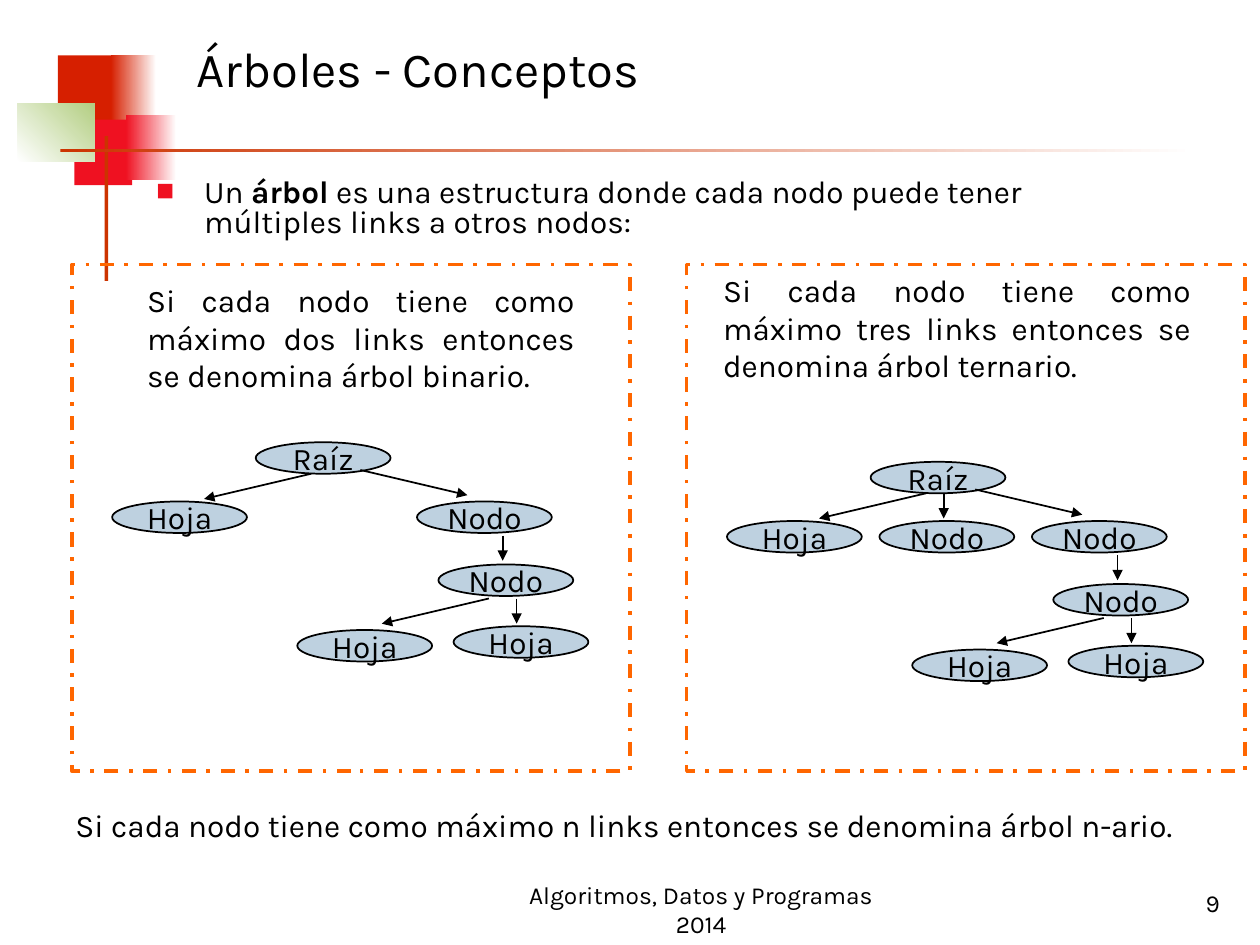
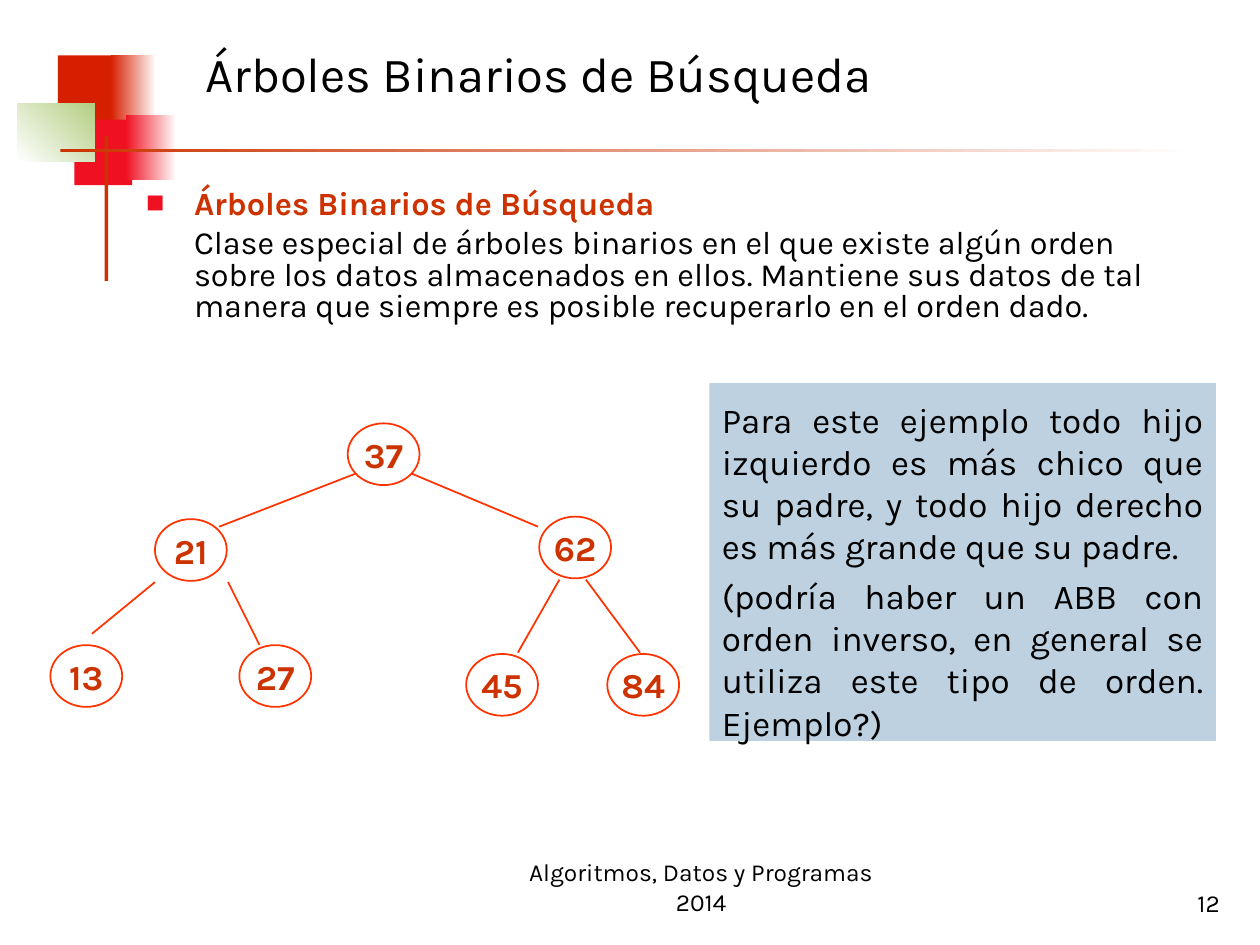
from pptx import Presentation
from pptx.dml.color import RGBColor
from pptx.enum.dml import MSO_LINE
from pptx.enum.shapes import MSO_CONNECTOR, MSO_SHAPE
from pptx.enum.text import MSO_ANCHOR, MSO_AUTO_SIZE, PP_ALIGN
from pptx.oxml.ns import qn
from pptx.util import Emu, Inches, Pt
from lxml.etree import SubElement

WIDTH, HEIGHT = Inches(10), Inches(7.5)
COLUMNS, ROWS = 100, 75
FONT = "Karla"
BLACK, WHITE, BLUE = "000000", "FFFFFF", "BED1E0"
RED, CRIMSON, GREEN = "D61F00", "EF1121", "B3CE82"
RUST, ORANGE, EDGE = "CC3300", "FF6600", "FF3300"
FOOTER = "Algoritmos, Datos y Programas 2014"

BAND = [
    ((4.6, 4.4, 4.8, 5.2), (RED,), 0),
    ((8.8, 4.4, 3.6, 5.2), (RED, WHITE), 0),
    ((5.9, 9.5, 4.6, 5.2), (CRIMSON,), 0),
    ((10, 9.1, 4, 5.2), (CRIMSON, WHITE), 0),
    ((1.4, 8.2, 6.1, 4.6), (WHITE, GREEN), 45),
    ((8.3, 10.8, 0.3, 11.5), (RUST,), 0),
    ((4.8, 11.8, 90, 0.3), (RUST, WHITE), 0),
]

CONCEPT_NODES = [
    ("Raíz", 20.3, 35.1), ("Hoja", 8.9, 39.8), ("Nodo", 33.1, 39.8),
    ("Nodo", 34.8, 44.8), ("Hoja", 36, 49.7), ("Hoja", 23.6, 50),
]
CONCEPT_ARROWS = [
    (24.7, 37.6, 16.2, 39.6), (28.6, 37.3, 37.1, 39.3), (39.9, 42.5, 39.9, 44.5),
    (38.8, 47.5, 30.3, 49.5), (41, 47.5, 41, 49.5),
]
MIDDLE_NODE = ("Nodo", 21, 39.8)
MIDDLE_ARROW = (26.1, 37.6, 26.1, 39.6)

SEARCH_NODES = [
    ("37", 27.6, 33.6), ("62", 42.8, 41), ("21", 12.3, 41.2), ("13", 4, 51.2),
    ("27", 19, 51.2), ("45", 37, 51.9), ("84", 48.2, 51.9),
]
SEARCH_EDGES = [
    (28.2, 37.6, 17.4, 41.8), (32.7, 37.6, 42.7, 41.8), (12.3, 46.2, 7.3, 50.3),
    (18.1, 46.2, 20.6, 51.2), (44.4, 46, 41.1, 51.8), (46.5, 46, 50.8, 51.8),
]


def rgb(code):
    """Turn a hex string into a colour."""
    return RGBColor.from_string(code)


def grid(*cells):
    """Turn alternating column and row counts into lengths."""
    units = (WIDTH / COLUMNS, HEIGHT / ROWS)
    return [Emu(round(count * units[index % 2])) for index, count in enumerate(cells)]


def apply(target, values):
    """Set each named attribute on the target."""
    for name, value in values.items():
        setattr(target, name, value)


def paint(shape, colors, angle=0):
    """Fill a shape with nothing, one colour or a two-colour gradient."""
    if not colors:
        shape.fill.background()
    elif len(colors) == 1:
        shape.fill.solid()
        shape.fill.fore_color.rgb = rgb(colors[0])
    else:
        shape.fill.gradient()
        shape.fill.gradient_angle = angle
        for stop, color in zip(shape.fill.gradient_stops, colors):
            stop.color.rgb = rgb(color)


def add_form(shapes, kind, place, colors=(), angle=0, line=None, width=1):
    """Add a preset shape with its fill and outline."""
    shape = shapes.add_shape(kind, *grid(*place))
    shape.shadow.inherit = False
    paint(shape, colors, angle)
    if line:
        shape.line.color.rgb = rgb(line)
        shape.line.width = Pt(width)
    else:
        shape.line.fill.background()
    return shape


def add_line(shapes, ends, color, arrow=False):
    """Add a straight line, with an arrowhead if asked."""
    line = shapes.add_connector(MSO_CONNECTOR.STRAIGHT, *grid(*ends))
    line.line.color.rgb = rgb(color)
    line.line.width = Pt(1)
    if arrow:
        SubElement(line.line._get_or_add_ln(), qn("a:tailEnd"), type="triangle")
    SubElement(line._element.spPr, qn("a:effectLst"))


def set_indent(para, left, first=0, bullet=False):
    """Set a paragraph's indents in inches and its square bullet."""
    properties = para._p.get_or_add_pPr()
    properties.set("marL", str(Inches(left)))
    properties.set("indent", str(Inches(first)))
    if bullet:
        color = SubElement(properties, qn("a:buClr"))
        SubElement(color, qn("a:srgbClr"), val=CRIMSON)
        SubElement(properties, qn("a:buSzPct"), val="60000")
        SubElement(properties, qn("a:buFont"), typeface=FONT)
        SubElement(properties, qn("a:buChar"), char="■")
    else:
        SubElement(properties, qn("a:buNone"))


def write(para, spans, size=18, indent=(0,), **layout):
    """Write (text, colour, bold) spans into a paragraph."""
    set_indent(para, *indent)
    apply(para, {"alignment": PP_ALIGN.LEFT, "space_before": Pt(0), **layout})
    for text, color, bold in spans:
        span = para.add_run()
        span.text = text
        apply(span.font, {"name": FONT, "size": Pt(size), "bold": bold})
        span.font.color.rgb = rgb(color)


def set_frame(box, anchor=MSO_ANCHOR.TOP, wrap=True):
    """Set how a box holds its text and return its first paragraph."""
    apply(box.text_frame, {"auto_size": MSO_AUTO_SIZE.NONE, "word_wrap": wrap,
                           "vertical_anchor": anchor})
    return box.text_frame.paragraphs[0]


def add_text(page, place, text, anchor=MSO_ANCHOR.TOP, **layout):
    """Add a text box with one black paragraph."""
    box = page.shapes.add_textbox(*grid(*place))
    write(set_frame(box, anchor), [(text, BLACK, False)], **layout)


def move(box, place):
    """Move a placeholder to its place on the grid."""
    apply(box, dict(zip(("left", "top", "width", "height"), grid(*place))))


def add_node(shapes, label, place, fill, line, color, size, bold):
    """Add a labelled ellipse."""
    node = add_form(shapes, MSO_SHAPE.OVAL, place, (fill,), line=line)
    write(set_frame(node, MSO_ANCHOR.MIDDLE, False), [(label, color, bold)], size,
          alignment=PP_ALIGN.CENTER)


def add_concept_tree(page, nodes, arrows, right=0, down=0):
    """Draw a grouped tree of blue nodes, shifted on the grid."""
    shapes = page.shapes.add_group_shape().shapes
    for label, left, top in nodes:
        add_node(shapes, label, (left + right, top + down, 10.7, 2.5),
                 BLUE, BLACK, BLACK, 18, False)
    for x1, y1, x2, y2 in arrows:
        add_line(shapes, (x1 + right, y1 + down, x2 + right, y2 + down), BLACK, True)


def add_search_tree(page):
    """Draw the binary search tree."""
    for ends in SEARCH_EDGES:
        add_line(page.shapes, ends, EDGE)
    for label, left, top in SEARCH_NODES:
        add_node(page.shapes, label, (left, top, 5.7, 4.9), WHITE, EDGE, RUST, 20, True)


def add_band(page):
    """Draw the corner band and move it to the shared layout."""
    tree = page.slide_layout.shapes.element
    for place, colors, angle in BAND:
        tree.append(add_form(page.shapes, MSO_SHAPE.RECTANGLE, place, colors, angle)._element)


def add_page(deck, title, title_place, body_place, number, footer_top):
    """Add a page with its title, footer and number, and return it with its body."""
    page = deck.slides.add_slide(deck.slide_layouts[1])
    heading, body = page.shapes.title, page.placeholders[1]
    move(heading, title_place)
    move(body, body_place)
    write(set_frame(heading, MSO_ANCHOR.MIDDLE), [(title, BLACK, False)], 28)
    add_text(page, (39.8, footer_top, 31.7, 5), FOOTER, MSO_ANCHOR.BOTTOM,
             size=14, alignment=PP_ALIGN.CENTER)
    add_text(page, (77, 68.3, 20.8, 5), number, MSO_ANCHOR.BOTTOM,
             size=14, alignment=PP_ALIGN.RIGHT)
    return page, body


def build_concepts(deck):
    """Build the page on tree concepts."""
    page, body = add_page(deck, "Árboles - Conceptos", (14.6, 0.8, 71.1, 9.2),
                          (11.4, 13.7, 82.2, 5.4), "9", 70)
    add_band(page)
    write(set_frame(body), [
        ("Un ", BLACK, False), ("árbol", BLACK, True),
        (" es una estructura donde cada nodo puede tener múltiples links a otros nodos:",
         BLACK, False)], indent=(0.38, -0.38, True), line_spacing=0.8)
    rule = "Si cada nodo tiene como máximo {} links entonces se denomina árbol {}."
    for place, count, name, alignment in [
            ((5.7, 21.8, 40.9, 10), "dos", "binario", PP_ALIGN.JUSTIFY),
            ((51.4, 21, 44.1, 10), "tres", "ternario", PP_ALIGN.JUSTIFY),
            ((0, 63.5, 98.8, 4), "n", "n-ario", PP_ALIGN.LEFT)]:
        add_text(page, place, rule.format(count, name), indent=(0.5,), alignment=alignment)
    add_concept_tree(page, CONCEPT_NODES, CONCEPT_ARROWS)
    add_concept_tree(page, CONCEPT_NODES + [MIDDLE_NODE], CONCEPT_ARROWS + [MIDDLE_ARROW],
                     48.8, 1.55)
    for left in (5.7, 54.5):
        frame = add_form(page.shapes, MSO_SHAPE.RECTANGLE, (left, 21, 44.3, 40.2),
                         line=ORANGE, width=2)
        frame.line.dash_style = MSO_LINE.DASH_DOT


def build_search(deck):
    """Build the page on binary search trees."""
    title = "Árboles Binarios de Búsqueda"
    page, body = add_page(deck, title, (15.3, 0.8, 76.4, 10),
                          (10.6, 14.6, 85.1, 14.1), "12", 68.2)
    write(set_frame(body), [(title, RUST, True)], 18.5, (0.38, -0.38, True), line_spacing=0.8)
    write(body.text_frame.add_paragraph(), [(
        "Clase especial de árboles binarios en el que existe algún orden sobre los datos "
        "almacenados en ellos. Mantiene sus datos de tal manera que siempre es posible "
        "recuperarlo en el orden dado.", BLACK, False)],
        18.5, (0.38,), line_spacing=0.8, space_before=Pt(5))
    add_search_tree(page)
    note = add_form(page.shapes, MSO_SHAPE.RECTANGLE, (56.3, 30.4, 40.2, 28.4), (BLUE,))
    write(set_frame(note), [(
        "Para este ejemplo todo hijo izquierdo es más chico que su padre, y todo hijo "
        "derecho es más grande que su padre.", BLACK, False)], 20, alignment=PP_ALIGN.JUSTIFY)
    note.text_frame.margin_top = Inches(0.12)
    write(note.text_frame.add_paragraph(), [(
        "(podría haber un ABB con orden inverso, en general se utiliza este tipo de orden. "
        "Ejemplo?)", BLACK, False)], 20, alignment=PP_ALIGN.JUSTIFY, space_before=Pt(5))


def main():
    """Build and save the deck."""
    deck = Presentation()
    apply(deck, {"slide_width": WIDTH, "slide_height": HEIGHT})
    build_concepts(deck)
    build_search(deck)
    deck.save("out.pptx")


if __name__ == "__main__":
    main()
